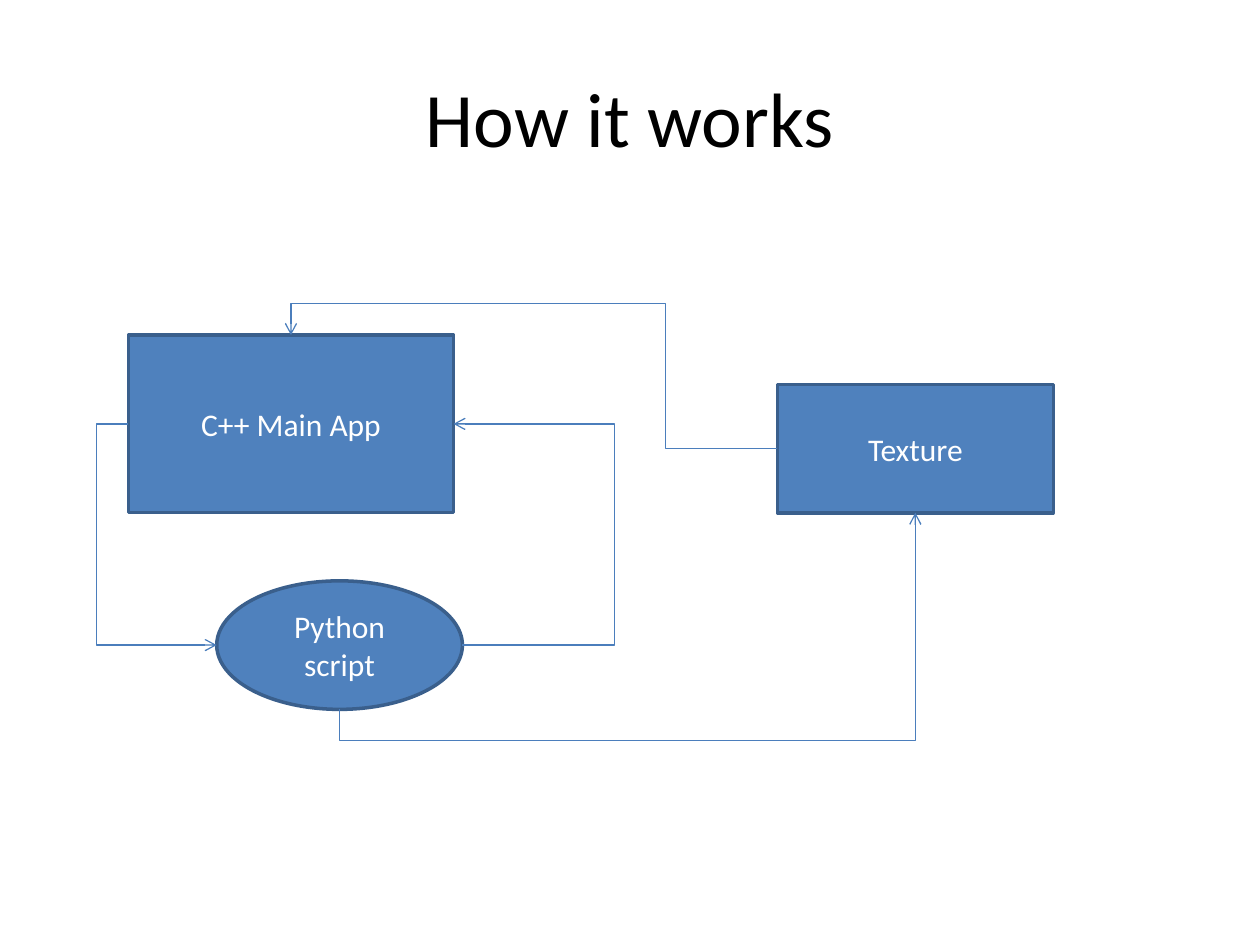
from pptx import Presentation
from pptx.dml.color import RGBColor
from pptx.enum import shapes, text
from pptx.oxml.ns import qn
from pptx.util import Inches, Pt
from lxml import etree

COLS, ROWS = 100, 75
SITES = {"top": (0.5, 0), "left": (0, 0.5), "bottom": (0.5, 1), "right": (1, 0.5)}
RECT_SITES = {"top": 0, "left": 1, "bottom": 2, "right": 3}
OVAL_SITES = {"top": 0, "left": 2, "bottom": 4, "right": 6}
RECT, OVAL = shapes.MSO_SHAPE.RECTANGLE, shapes.MSO_SHAPE.OVAL

prs = Presentation()
prs.slide_width, prs.slide_height = Inches(10), Inches(7.5)
slide = prs.slides.add_slide(prs.slide_layouts[6])


def color(hex_code):
    return RGBColor.from_string(hex_code)


def place(box, col, row, width, height):
    unit_x, unit_y = prs.slide_width / COLS, prs.slide_height / ROWS
    return [int(v) for v in ((box[0] + col) * unit_x, (box[1] + row) * unit_y,
                             width * unit_x, height * unit_y)]


def write(sp, words, size, hex_code):
    tf = sp.text_frame
    for name, value in {"word_wrap": True, "vertical_anchor": text.MSO_ANCHOR.MIDDLE}.items():
        setattr(tf, name, value)
    p = tf.paragraphs[0]
    p.alignment = text.PP_ALIGN.CENTER
    r = p.add_run()
    r.text = words
    for name, value in {"size": Pt(size), "name": "Calibri"}.items():
        setattr(r.font, name, value)
    r.font.color.rgb = color(hex_code)


def add_title(box, words):
    write(slide.shapes.add_textbox(*place(box, 0, 0, *box[2:])), words, 44, "000000")


def add_node(box, kind, cell, words):
    sp = slide.shapes.add_shape(kind, *place(box, *cell))
    sp.shadow.inherit = False
    sp.fill.solid()
    sp.fill.fore_color.rgb = color("4F81BD")
    sp.line.color.rgb = color("3A5F8C")
    sp.line.width = Pt(2)
    write(sp, words, 18, "FFFFFF")
    return sp


def site_point(sp, side):
    fx, fy = SITES[side]
    return int(sp.left + fx * sp.width), int(sp.top + fy * sp.height)


def add_arrow(start, start_side, end, end_side, bends, turned=False):
    x1, y1 = site_point(start, start_side)
    x2, y2 = site_point(end, end_side)
    if turned:
        mid_x, mid_y = (x1 + x2) // 2, (y1 + y2) // 2
        half_w, half_h = abs(y2 - y1) // 2, abs(x2 - x1) // 2
        x1, y1, x2, y2 = mid_x + half_w, mid_y + half_h, mid_x - half_w, mid_y - half_h
    cxn = slide.shapes.add_connector(shapes.MSO_CONNECTOR.ELBOW, x1, y1, x2, y2)
    cxn.line.color.rgb = color("4B7EBC")
    cxn.line.width = Pt(0.75)
    sp_pr = cxn._element.spPr
    if turned:
        sp_pr.find(qn("a:xfrm")).set("rot", "5400000")
    geom = sp_pr.find(qn("a:prstGeom"))
    geom.set("prst", f"bentConnector{len(bends) + 2}")
    guides = geom.find(qn("a:avLst"))
    for i, bend in enumerate(bends, 1):
        name = f"adj{i}"
        etree.SubElement(guides, qn("a:gd"), name=name, fmla=f"val {round(bend * 100000)}")
    etree.SubElement(sp_pr.find(qn("a:ln")), qn("a:tailEnd"), type="arrow")
    etree.SubElement(sp_pr, qn("a:effectLst"))
    links = cxn._element.find(".//" + qn("p:cNvCxnSpPr"))
    for tag, sp, side in (("a:stCxn", start, start_side), ("a:endCxn", end, end_side)):
        sites = OVAL_SITES if sp.auto_shape_type == OVAL else RECT_SITES
        etree.SubElement(links, qn(tag), id=str(sp.shape_id), idx=str(sites[side]))


def add_flow(box):
    app = add_node(box, RECT, (2.5, 2.5, 25.8, 14.1), "C++ Main App")
    script = add_node(box, OVAL, (9.5, 22, 19.5, 10.2), "Python script")
    texture = add_node(box, RECT, (54, 6.4, 21.9, 10.2), "Texture")
    add_arrow(script, "right", app, "right", [-15.1 * 0.8 / 0.7])
    add_arrow(app, "left", script, "left", [-0.36])
    add_arrow(texture, "left", app, "top", [0.23, 1.28])
    add_arrow(script, "bottom", texture, "bottom", [-0.16], turned=True)


add_title((5, 3, 90, 12.5), "How it works")
add_flow((7.7, 24.1, 75.9, 34.7))
prs.save("out.pptx")
